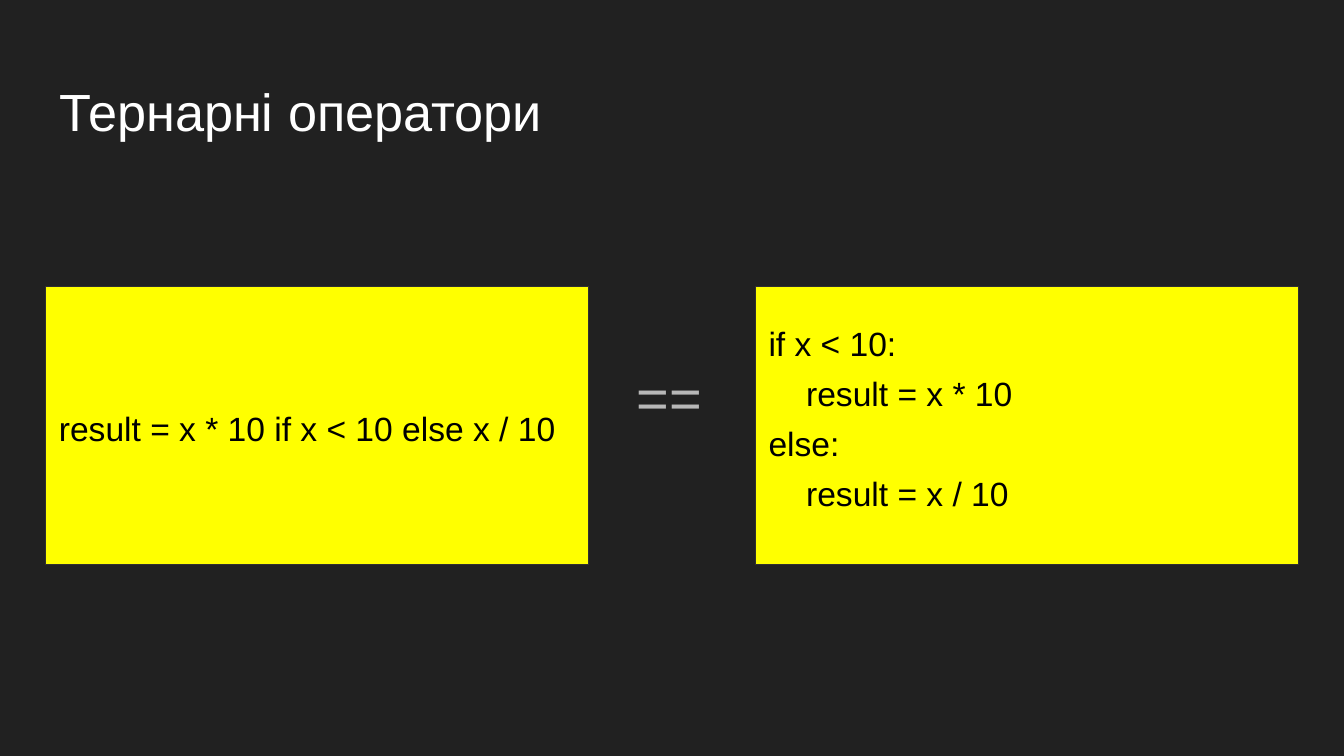
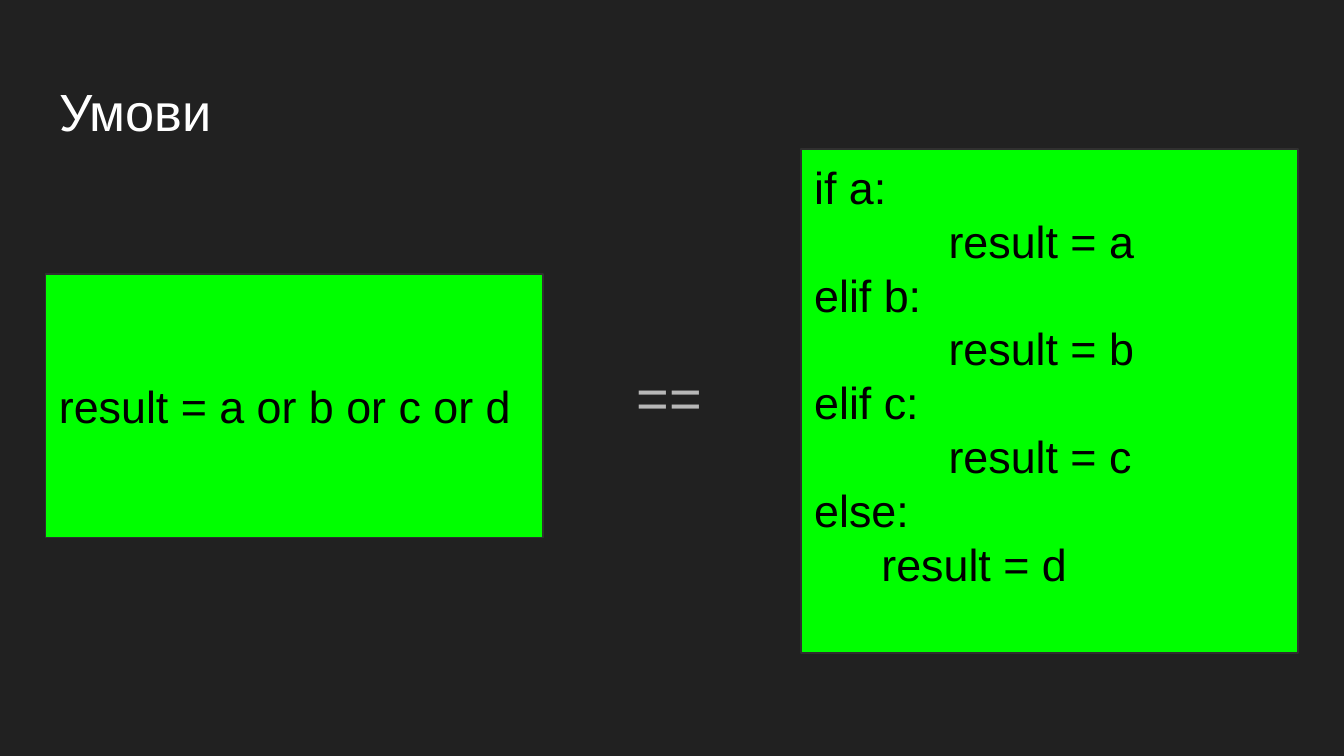
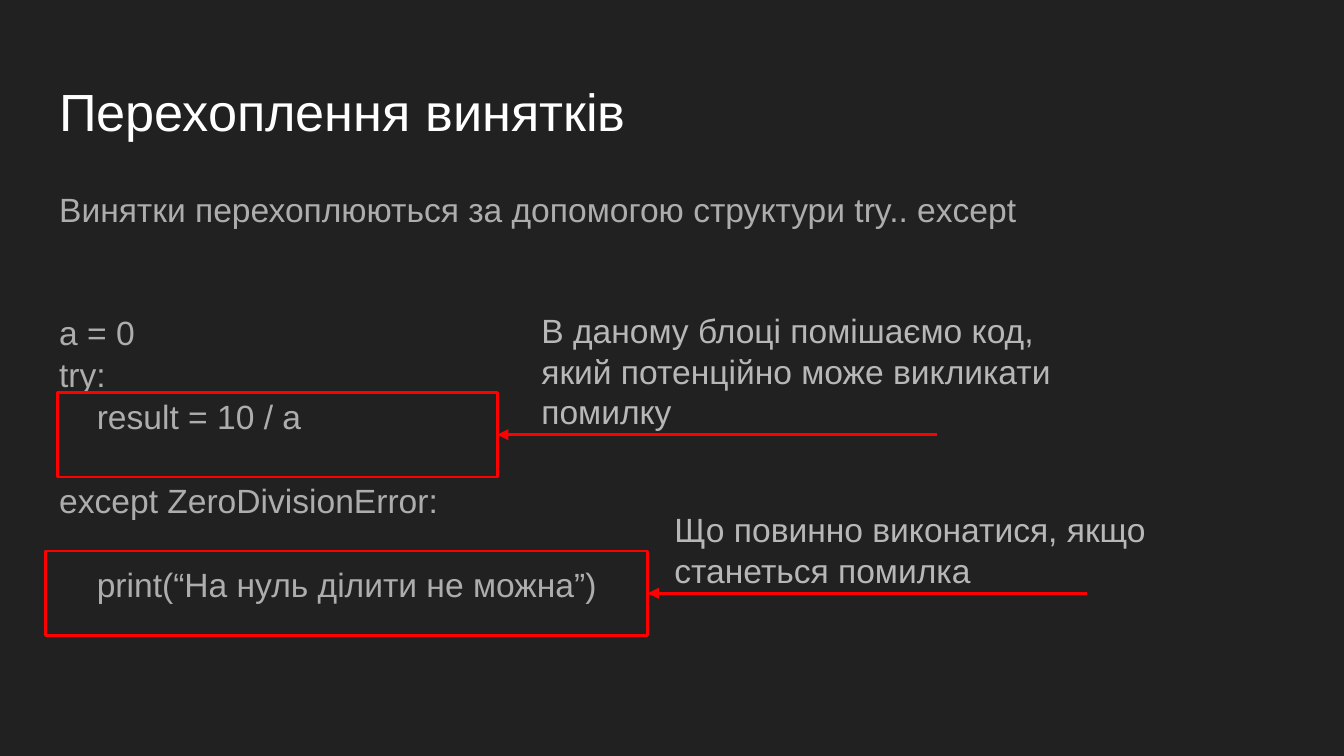
from lxml.etree import SubElement
from pptx import Presentation
from pptx.dml.color import RGBColor
from pptx.enum.shapes import MSO_CONNECTOR, MSO_SHAPE
from pptx.enum.text import MSO_ANCHOR, MSO_AUTO_SIZE, PP_ALIGN
from pptx.oxml.ns import qn
from pptx.util import Inches, Pt


class Theme:
    font = "Arial"
    background = "212121"
    title, body, note, code = "FFFFFF", "ADADAD", "B7B7B7", "000000"
    border, accent = "303030", "FF0000"
    yellow, green = "FFFF00", "00FF00"
    title_size, sign_size, large_size, text_size = 28, 30, 24, 18


# Content: each line is (text, left indent in inches, paragraph format)
LOOSE = {"line_spacing": 1.15, "space_after": Pt(16)}
HALF = {"line_spacing": 0.5}
HALF_NEXT = {**HALF, "space_before": Pt(16)}
TIGHT = {"line_spacing": 0.3, "space_before": Pt(16)}
TIGHT_GAP = {**TIGHT, "space_before": Pt(38.5)}
TIGHT_SECTION = {**TIGHT, "space_before": Pt(57)}
CODE_INDENT = 0.28

COMPARISONS = [
    {
        "title": "Тернарні оператори",
        "fill": Theme.yellow,
        "size": Theme.text_size,
        "width": 4.04,
        "short": {"top": 2.13, "height": 2.07, "lines": [
            ("result = x * 10 if x < 10 else x / 10", 0, LOOSE)]},
        "long": {"top": 2.13, "height": 2.07, "lines": [
            ("if x < 10:", 0, HALF),
            ("result = x * 10", CODE_INDENT, HALF_NEXT),
            ("else:", 0, HALF_NEXT),
            ("result = x / 10", CODE_INDENT, HALF_NEXT)]},
    },
    {
        "title": "Умови",
        "fill": Theme.green,
        "size": Theme.large_size,
        "width": 3.7,
        "short": {"top": 2.04, "height": 1.96, "lines": [
            ("result = a or b or c or d", 0, {})]},
        "long": {"top": 1.11, "height": 3.75, "bottom_inset": 0.49, "lines": [
            ("if a:", 0, {}),
            ("result = a", 1, {}),
            ("elif b:", 0, {}),
            ("result = b", 1, {}),
            ("elif c:", 0, {}),
            ("result = c", 1, {}),
            ("else:", 0, {}),
            ("result = d", 0.5, {})]},
    },
]
EQUALS = [("==", 0.34, {})]

EXCEPTIONS_TITLE = "Перехоплення винятків"
EXCEPTIONS_LINES = [
    ("Винятки перехоплюються за допомогою структури try.. except", 0,
     {"line_spacing": 1.15}),
    ("a = 0", 0, TIGHT_SECTION),
    ("try:", 0, TIGHT),
    ("result = 10 / a", CODE_INDENT, TIGHT),
    ("except ZeroDivisionError:", 0, TIGHT_GAP),
    ("print(“На нуль ділити не можна”)", CODE_INDENT, TIGHT_GAP),
]
CALLOUTS = [
    {"frame": (0.43, 2.92, 3.27, 0.63), "note_at": (3.93, 2.21),
     "note": "В даному блоці помішаємо код, який потенційно може викликати помилку"},
    {"frame": (0.34, 4.1, 4.48, 0.63), "note_at": (4.92, 3.69),
     "note": "Що повинно виконатися, якщо станеться помилка"},
]

# Layout: a 16:9 slide
SLIDE_WIDTH = 10
SLIDE_HEIGHT = SLIDE_WIDTH * 9 / 16
MARGIN = 0.34
CONTENT_WIDTH = SLIDE_WIDTH - 2 * MARGIN
TITLE_BOX = (MARGIN, 0.49, CONTENT_WIDTH, 0.63)
BODY_BOX = (MARGIN, 1.26, CONTENT_WIDTH, 3.74)
EQUALS_BOX = (4.3, 2.6, 1.6, 1.14)
NOTE_SIZE = (4.06, 1.2)
ARROW_LENGTH = 3.27
INSET = 0.1


def rgb(value):
    return RGBColor.from_string(value)


def inches(values):
    return [Inches(value) for value in values]


def apply(target, values):
    for name, value in values.items():
        setattr(target, name, value)


# Text
def write(frame, lines, size, color, anchor=MSO_ANCHOR.TOP, bottom_inset=INSET):
    apply(frame, {
        "word_wrap": True, "auto_size": MSO_AUTO_SIZE.NONE, "vertical_anchor": anchor,
        "margin_left": Inches(INSET), "margin_right": Inches(INSET),
        "margin_top": Inches(INSET), "margin_bottom": Inches(bottom_inset)})
    for number, (text, indent, spacing) in enumerate(lines):
        paragraph = frame.add_paragraph() if number else frame.paragraphs[0]
        apply(paragraph, {
            "alignment": PP_ALIGN.LEFT, "line_spacing": 1.0,
            "space_before": Pt(0), "space_after": Pt(0), **spacing})
        properties = paragraph._p.get_or_add_pPr()
        properties.set("marL", str(Inches(indent)))
        properties.set("indent", "0")
        SubElement(properties, qn("a:buNone"))
        run = paragraph.add_run()
        run.text = text
        apply(run.font, {"name": Theme.font, "size": Pt(size)})
        run.font.color.rgb = rgb(color)


# Slide parts
def place(placeholder, box):
    apply(placeholder, dict(zip(("left", "top", "width", "height"), inches(box))))


def add_titled_slide(deck, layout, title):
    slide = deck.slides.add_slide(deck.slide_layouts.get_by_name(layout))
    place(slide.shapes.title, TITLE_BOX)
    write(slide.shapes.title.text_frame, [(title, 0, {})], Theme.title_size, Theme.title)
    return slide


def add_note(slide, box, lines, size):
    note = slide.shapes.add_textbox(*inches(box))
    write(note.text_frame, lines, size, Theme.note)


def add_rectangle(slide, box, border, border_width, fill=None):
    rectangle = slide.shapes.add_shape(MSO_SHAPE.RECTANGLE, *inches(box))
    rectangle.shadow.inherit = False
    if fill:
        rectangle.fill.solid()
        rectangle.fill.fore_color.rgb = rgb(fill)
    else:
        rectangle.fill.background()
    rectangle.line.color.rgb = rgb(border)
    rectangle.line.width = Pt(border_width)
    return rectangle


def add_arrow_to(slide, rectangle):
    right = rectangle.left + rectangle.width
    middle = rectangle.top + rectangle.height // 2
    arrow = slide.shapes.add_connector(
        MSO_CONNECTOR.STRAIGHT, right + Inches(ARROW_LENGTH), middle, right, middle)
    arrow.end_connect(rectangle, 3)
    arrow.line.color.rgb = rgb(Theme.accent)
    arrow.line.width = Pt(1.5)
    SubElement(arrow.line._get_or_add_ln(), qn("a:tailEnd"), type="triangle")
    SubElement(arrow._element.spPr, qn("a:effectLst"))


# Slides
def add_comparison(deck, comparison):
    slide = add_titled_slide(deck, "Title Only", comparison["title"])
    width = comparison["width"]
    sides = (("short", MARGIN), ("long", SLIDE_WIDTH - MARGIN - width))
    for side, left in sides:
        code = comparison[side]
        panel = add_rectangle(slide, (left, code["top"], width, code["height"]),
                              Theme.border, 0.75, comparison["fill"])
        write(panel.text_frame, code["lines"], comparison["size"], Theme.code,
              MSO_ANCHOR.MIDDLE, code.get("bottom_inset", INSET))
    add_note(slide, EQUALS_BOX, EQUALS, Theme.sign_size)


def add_exceptions(deck):
    slide = add_titled_slide(deck, "Title and Content", EXCEPTIONS_TITLE)
    body = slide.placeholders[1]
    place(body, BODY_BOX)
    write(body.text_frame, EXCEPTIONS_LINES, Theme.text_size, Theme.body)
    for callout in CALLOUTS:
        highlight = add_rectangle(slide, callout["frame"], Theme.accent, 1.5)
        add_note(slide, callout["note_at"] + NOTE_SIZE,
                 [(callout["note"], 0, {})], Theme.text_size)
        add_arrow_to(slide, highlight)


def main():
    deck = Presentation()
    apply(deck, {"slide_width": Inches(SLIDE_WIDTH), "slide_height": Inches(SLIDE_HEIGHT)})
    backdrop = deck.slide_master.background.fill
    backdrop.solid()
    backdrop.fore_color.rgb = rgb(Theme.background)
    for comparison in COMPARISONS:
        add_comparison(deck, comparison)
    add_exceptions(deck)
    deck.save("out.pptx")


if __name__ == "__main__":
    main()
